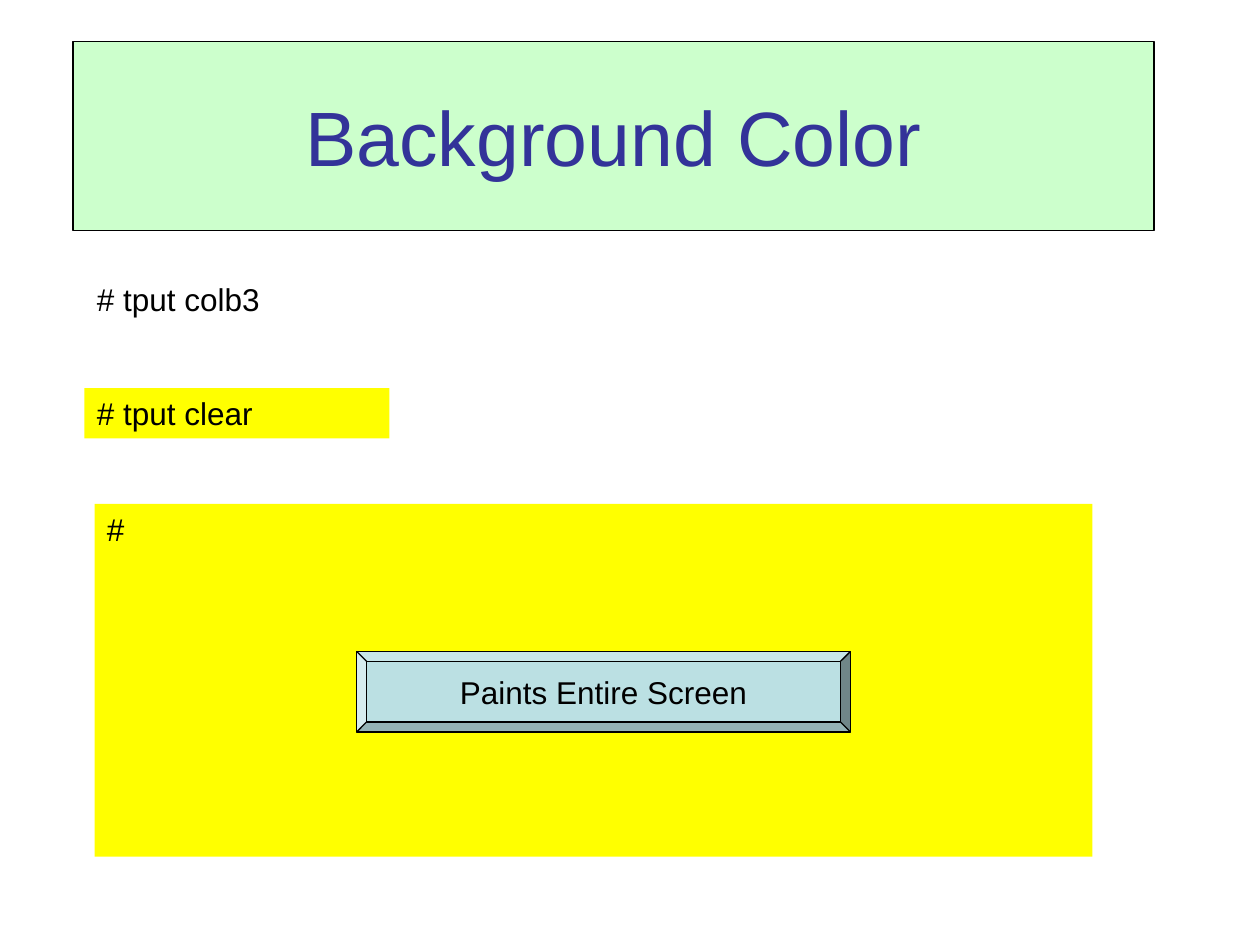
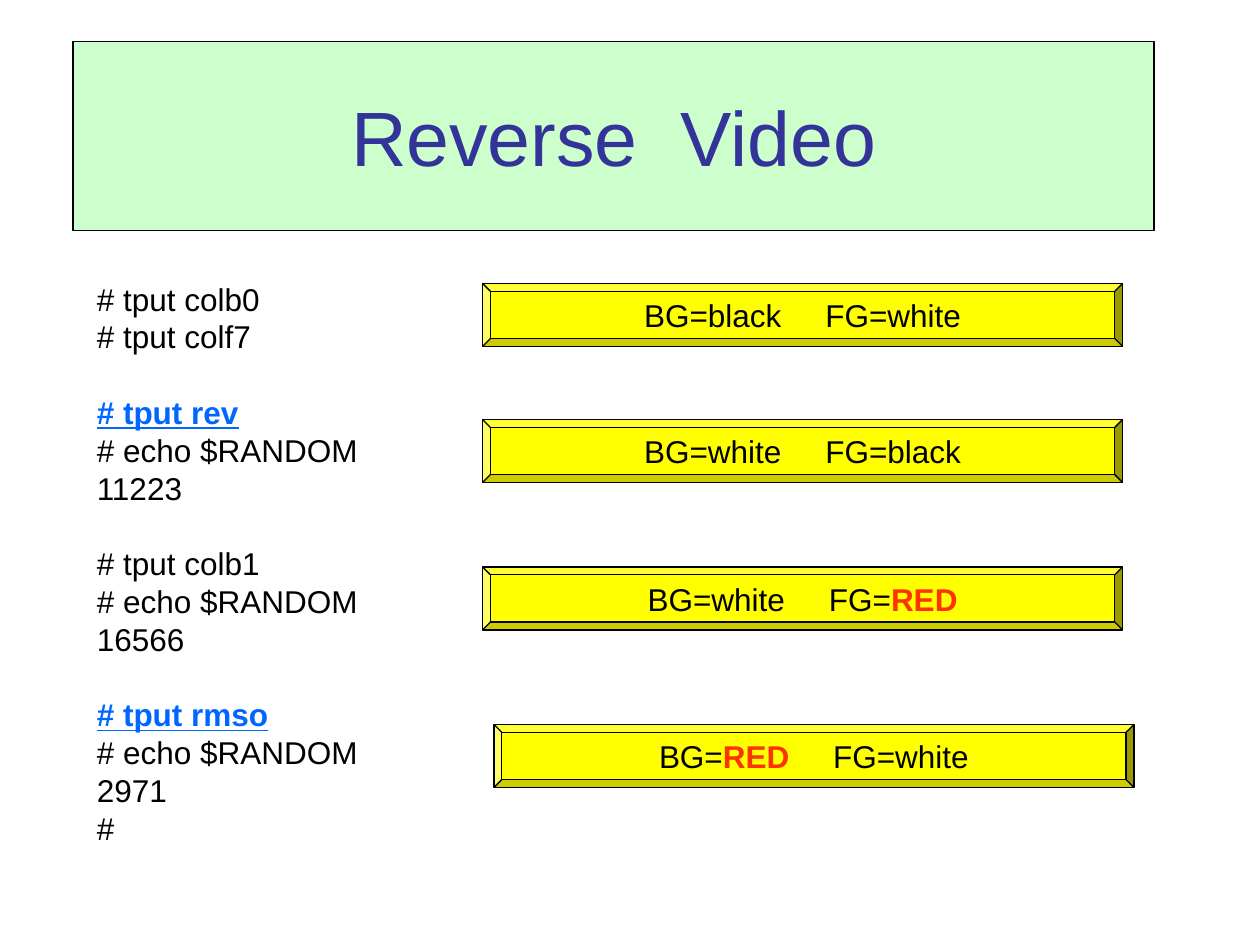
from dataclasses import dataclass

from pptx import Presentation
from pptx import util as u
from pptx.dml.color import RGBColor
from pptx.enum import shapes, text


@dataclass(frozen=True)
class Theme:
    font: str = "Arial"
    title_size: int = 44
    body_size: int = 18
    line_pitch: float = 21.6
    outline: float = 0.74
    ink: str = "000000"
    title: str = "333399"
    banner: str = "CCFFCC"
    screen: str = "FFFF00"
    button: str = "BBE0E3"
    command: str = "0066FF"
    alert: str = "FF3300"
    title_gap: int = 12
    label_gap: int = 20


class Deck:
    def __init__(self, theme):
        self.theme = theme
        self.prs = Presentation()
        self.prs.slide_width, self.prs.slide_height = u.Inches(10), u.Inches(7.5)
        self.s = None

    def slide(self, title):
        t = self.theme
        self.s = self.prs.slides.add_slide(self.prs.slide_layouts[6])
        sp = self.shape("RECTANGLE", (0.58, 0.33, 8.58, 1.5), t.banner, outlined=True)
        self.label(sp, title, size=t.title_size, color=t.title)

    def shape(self, kind, box, fill, outlined=False):
        sp = self.s.shapes.add_shape(shapes.MSO_SHAPE[kind], *map(u.Inches, box))
        sp.shadow.inherit = False
        sp.fill.solid()
        sp.fill.fore_color.rgb = RGBColor.from_string(fill)
        if outlined:
            sp.line.color.rgb = RGBColor.from_string(self.theme.ink)
            sp.line.width = u.Pt(self.theme.outline)
        else:
            sp.line.fill.background()
        return sp

    def run(self, p, words, size=None, color=None, gap=None, **fmt):
        r = p.add_run()
        r.text = words
        values = dict(name=self.theme.font, size=u.Pt(size or self.theme.body_size), **fmt)
        for key, value in values.items():
            setattr(r.font, key, value)
        r.font.color.rgb = RGBColor.from_string(color or self.theme.ink)
        if gap:
            r._r.get_or_add_rPr().set("spc", str(gap * 100))

    def label(self, sp, runs, **fmt):
        tf = sp.text_frame
        tf.word_wrap = False
        tf.vertical_anchor = text.MSO_ANCHOR.MIDDLE
        p = tf.paragraphs[0]
        p.alignment = text.PP_ALIGN.CENTER
        for words, extra in runs:
            self.run(p, words, **{**fmt, **extra})

    def bevel(self, box, fill, runs):
        sp = self.shape("BEVEL", box, fill, outlined=True)
        sp.adjustments[0] = 0.125
        self.label(sp, runs)

    def terminal(self, box, groups, fill=None):
        t = self.theme
        if fill:
            sp = self.shape("RECTANGLE", box, fill)
        else:
            sp = self.s.shapes.add_textbox(*map(u.Inches, box))
        tf = sp.text_frame
        tf.word_wrap = True
        tf.vertical_anchor = text.MSO_ANCHOR.TOP
        p = tf.paragraphs[0]
        for g, group in enumerate(groups):
            for i, (line, fmt) in enumerate(group):
                if g or i:
                    p = tf.add_paragraph()
                p.alignment = text.PP_ALIGN.LEFT
                p.line_spacing = u.Pt(t.line_pitch)
                if g and not i:
                    p.space_before = u.Pt(t.line_pitch)
                self.run(p, line, **fmt)


theme = Theme()
deck = Deck(theme)
command = dict(color=theme.command, bold=True, underline=True)
alert = dict(color=theme.alert, bold=True)
gap = (" ", dict(gap=theme.label_gap))


def plain(*lines):
    return [(line, {}) for line in lines]


deck.slide(plain("Background Color"))
deck.terminal((0.67, 2.17, 8.33, 0.4), [plain("# tput colb3")])
deck.terminal((0.67, 3.08, 2.42, 0.4), [plain("# tput clear")], theme.screen)
deck.terminal((0.75, 4, 7.92, 2.8), [plain("#")], theme.screen)
deck.bevel((2.83, 5.17, 3.92, 0.64), theme.button, plain("Paints Entire Screen"))

deck.slide([("Reverse", {}), (" ", dict(gap=theme.title_gap)), ("Video", {})])
deck.terminal((0.67, 2.17, 8.42, 4.6), [
    plain("# tput colb0", "# tput colf7"),
    [("# tput rev", command)] + plain("# echo $RANDOM", "11223"),
    plain("# tput colb1", "# echo $RANDOM", "16566"),
    [("# tput rmso", command)] + plain("# echo $RANDOM", "2971", "#"),
])
states = [
    (3.83, 2.25, "black", "white"),
    (3.83, 3.33, "white", "black"),
    (3.83, 4.5, "white", "RED"),
    (3.92, 5.75, "RED", "white"),
]
for left, top, back, front in states:
    bg, fg = [[(f"{key}=", {}), (name, alert if name == "RED" else {})]
              for key, name in (("BG", back), ("FG", front))]
    deck.bevel((left, top, 5.08, 0.5), theme.screen, bg + [gap] + fg)

deck.prs.save("out.pptx")
